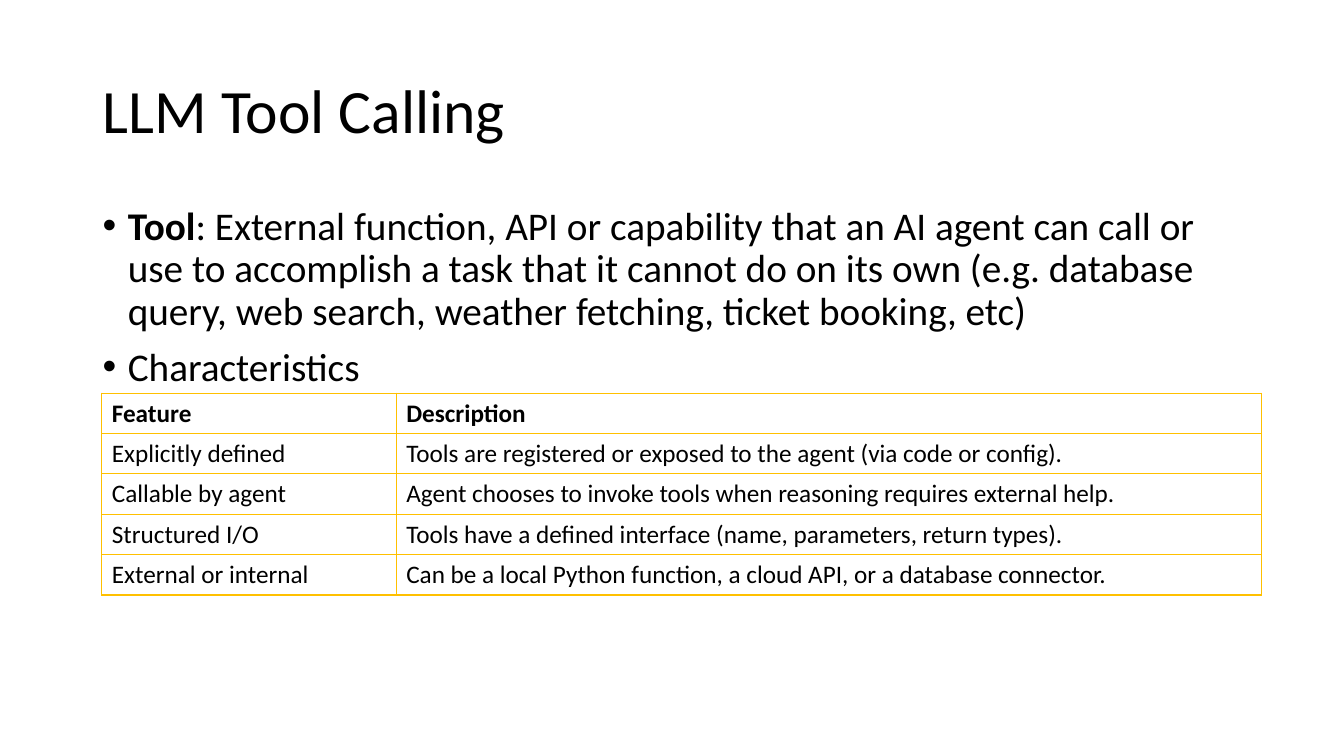
from pptx import Presentation
from pptx.dml.color import RGBColor
from pptx.enum.text import MSO_ANCHOR, PP_ALIGN
from pptx.oxml import parse_xml
from pptx.oxml.ns import nsdecls
from pptx.util import Inches, Pt

FONT = "Calibri"
BLACK = "000000"
GOLD = "FFC000"
BULLETS = [
    [("Tool", True),
     (": External function, API or capability that an AI agent can call or use to "
      "accomplish a task that it cannot do on its own (e.g. database query, web "
      "search, weather fetching, ticket booking, etc)", False)],
    [("Characteristics", False)],
]
FEATURES = [
    ("Feature", "Description"),
    ("Explicitly defined", "Tools are registered or exposed to the agent (via code or config)."),
    ("Callable by agent", "Agent chooses to invoke tools when reasoning requires external help."),
    ("Structured I/O", "Tools have a defined interface (name, parameters, return types)."),
    ("External or internal", "Can be a local Python function, a cloud API, or a database connector."),
]


def color(value):
    return RGBColor.from_string(value)


def set_font(para, size, bold=None):
    para.font.name = FONT
    para.font.size = Pt(size)
    para.font.bold = bold
    para.font.color.rgb = color(BLACK)


def set_title(page, text):
    title = page.shapes.title
    title.left, title.top = Inches(0.92), Inches(0.4)
    title.width, title.height = Inches(11.5), Inches(1.45)
    title.text_frame.text = text
    title.text_frame.vertical_anchor = MSO_ANCHOR.MIDDLE
    para = title.text_frame.paragraphs[0]
    para.alignment = PP_ALIGN.LEFT
    para.line_spacing = 0.9
    set_font(para, 44)


def add_bullet(para, spans):
    para.line_spacing = 0.9
    para.space_before = Pt(10)
    set_font(para, 28)
    properties = para._p.get_or_add_pPr()
    properties.set("marL", str(Inches(0.25)))
    properties.set("indent", str(Inches(-0.25)))
    marks = (f'<a:buFont {nsdecls("a")} typeface="Arial"/>', f'<a:buChar {nsdecls("a")} char="•"/>')
    for offset, mark in enumerate(marks):
        properties.insert(2 + offset, parse_xml(mark))
    for text, bold in spans:
        span = para.add_run()
        span.text = text
        span.font.bold = bold


def add_bullets(page, bullets):
    box = page.shapes.add_textbox(Inches(0.92), Inches(2), Inches(11.5), Inches(4.76))
    frame = box.text_frame
    frame.word_wrap = True
    for index, spans in enumerate(bullets):
        para = frame.add_paragraph() if index else frame.paragraphs[0]
        add_bullet(para, spans)


def set_borders(cell, value):
    properties = cell._tc.get_or_add_tcPr()
    for index, side in enumerate(("lnL", "lnR", "lnT", "lnB")):
        properties.insert(index, parse_xml(
            f'<a:{side} {nsdecls("a")} w="{Pt(1)}"><a:solidFill>'
            f'<a:srgbClr val="{value}"/></a:solidFill></a:{side}>'))


def add_feature_table(page, rows):
    widths = (2.92, 8.58)
    row_height = 0.4
    frame = page.shapes.add_table(len(rows), len(widths), Inches(1.01), Inches(3.9),
                                  Inches(sum(widths)), Inches(row_height * len(rows)))
    table = frame.table
    table.first_row = False
    table.horz_banding = False
    for column, width in zip(table.columns, widths):
        column.width = Inches(width)
    for row_index, texts in enumerate(rows):
        for column_index, text in enumerate(texts):
            cell = table.cell(row_index, column_index)
            cell.text = text
            cell.vertical_anchor = MSO_ANCHOR.MIDDLE
            cell.fill.background()
            set_borders(cell, GOLD)
            set_font(cell.text_frame.paragraphs[0], 18, row_index == 0)


def main():
    deck = Presentation()
    deck.slide_width, deck.slide_height = Inches(13.33), Inches(7.5)
    page = deck.slides.add_slide(deck.slide_layouts[5])
    set_title(page, "LLM Tool Calling")
    add_bullets(page, BULLETS)
    add_feature_table(page, FEATURES)
    deck.save("out.pptx")


if __name__ == "__main__":
    main()
